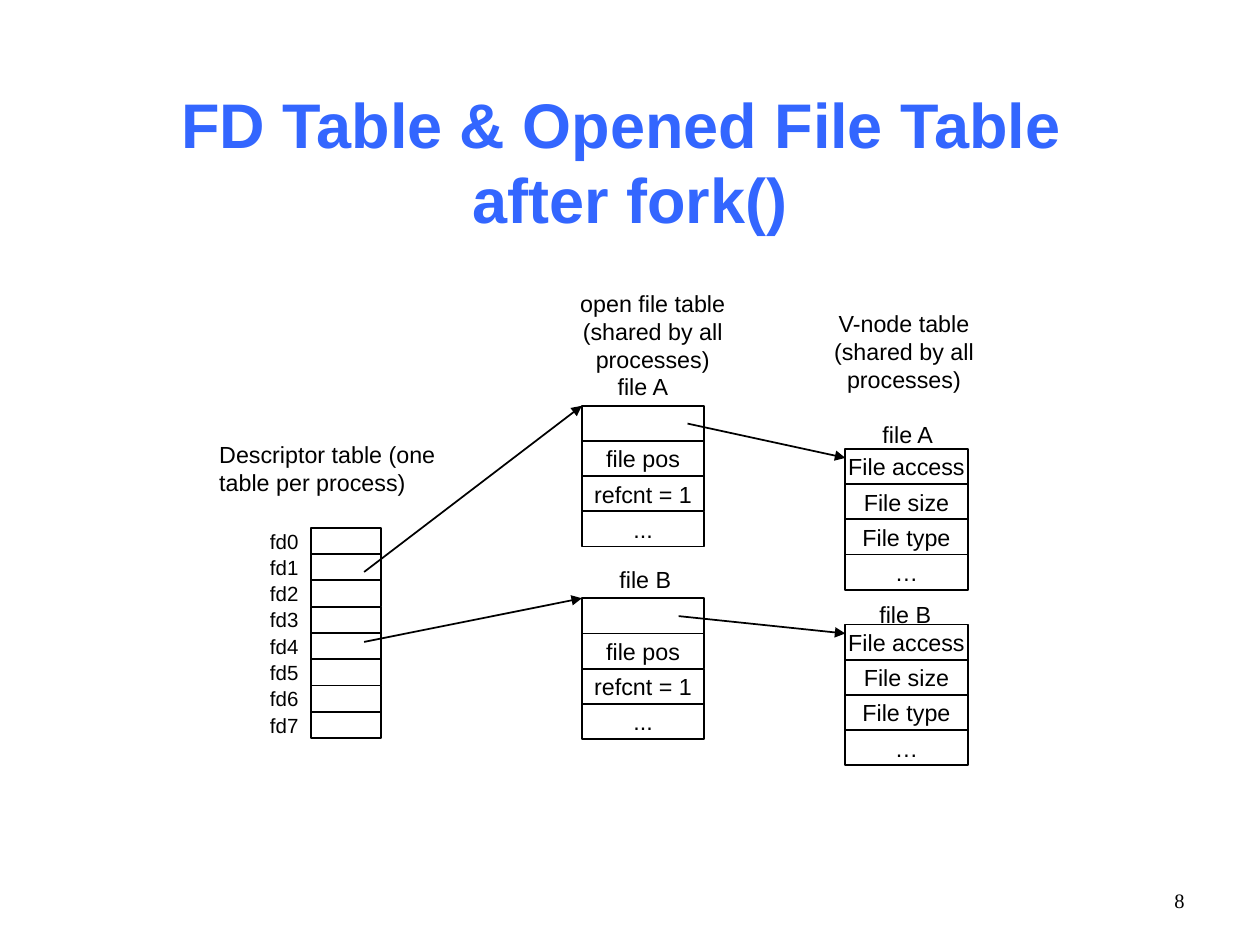
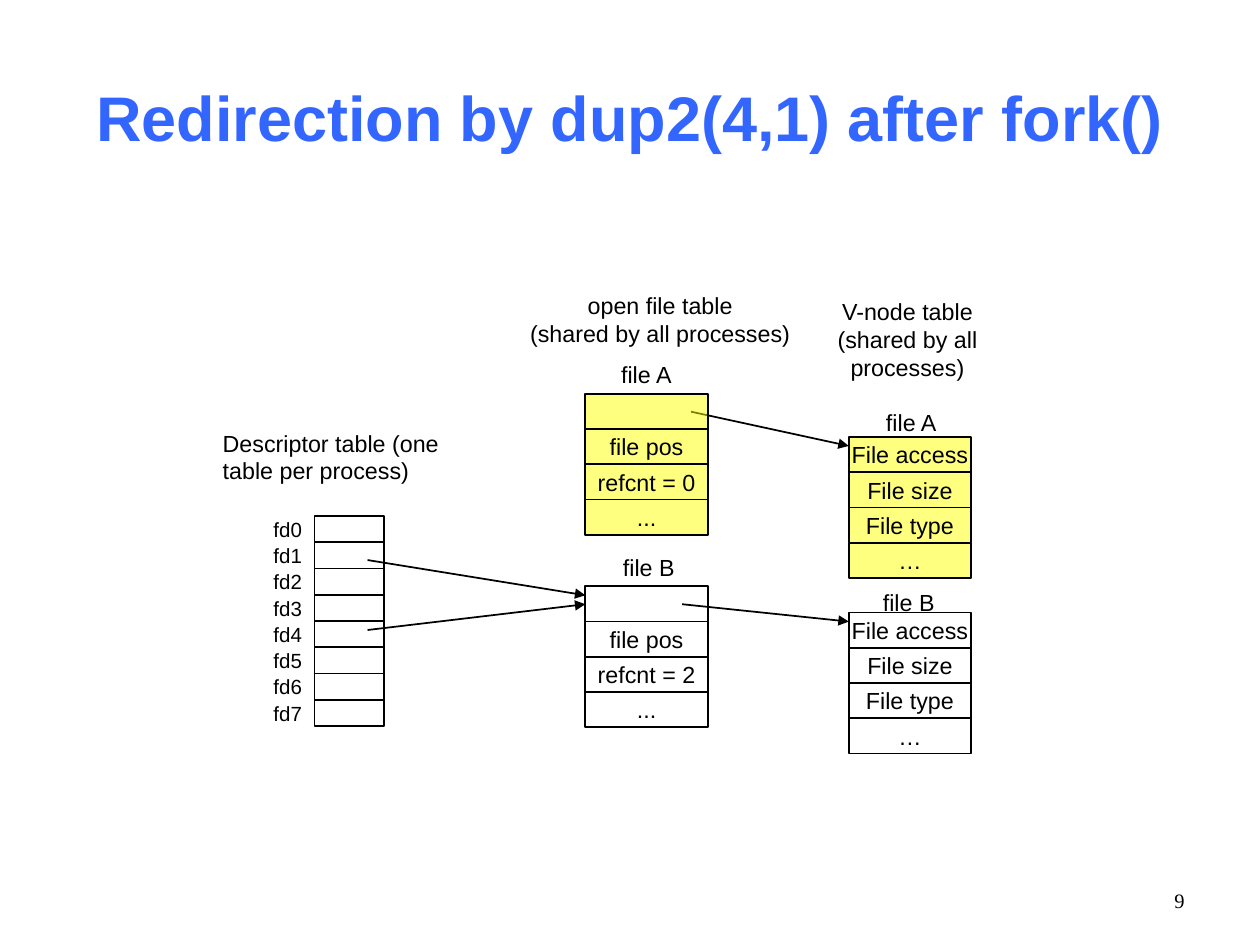
from lxml.etree import SubElement
from pptx import Presentation
from pptx.dml.color import RGBColor
from pptx.enum.shapes import MSO_CONNECTOR, MSO_SHAPE
from pptx.enum.text import MSO_ANCHOR, MSO_AUTO_SIZE, PP_ALIGN
from pptx.oxml.ns import qn
from pptx.util import Cm, Pt

BLACK = RGBColor(0x00, 0x00, 0x00)
WHITE = RGBColor(0xFF, 0xFF, 0xFF)
YELLOW = RGBColor(0xFF, 0xFF, 0x00)
TITLE_BLUE = RGBColor(0x33, 0x66, 0xFF)

# Shared geometry in cm
FD_LEFT, FD_TOP, FD_WIDTH, FD_HEIGHT, FD_COUNT = 6.27, 10.64, 1.41, 0.53, 8
FIELD_WIDTH, FIELD_HEIGHT = 2.47, 0.71
OPEN_LEFT, OPEN_A_TOP, OPEN_B_TOP = 11.73, 8.18, 12.06
VNODE_LEFT, VNODE_A_TOP, VNODE_B_TOP = 17.04, 9.05, 12.59
VNODE_FIELDS = ["File access", "File size", "File type", "…"]
FD1_START = (FD_LEFT + 1.07, FD_TOP + 0.89)
FD4_START = (FD_LEFT + 1.07, FD_TOP + 2.3)

# Each slide holds the same diagram, moved by "shift"; fills are open A, open B, v-node A, v-node B
SLIDES = [
    dict(title=["FD Table & Opened File Table ", "after fork()"], title_top=1.65, number="8",
         shift=(0, 0), heading=(10.31, 5.7), refcnts=(1, 1), fills=(None, None, None, WHITE),
         fd_arrows=[(FD1_START, (OPEN_LEFT, OPEN_A_TOP)), (FD4_START, (OPEN_LEFT, OPEN_B_TOP))]),
    dict(title=["Redirection by dup2(4,1) after fork()"], title_top=0.76, number="9",
         shift=(0.07, -0.24), heading=(10.24, 6), refcnts=(0, 2), fills=(YELLOW, None, YELLOW, None),
         fd_arrows=[(FD1_START, (OPEN_LEFT, OPEN_B_TOP + 0.18)),
                    (FD4_START, (OPEN_LEFT, OPEN_B_TOP + 0.36))]),
]


def add_label(slide, box, lines, size=13.3, font="Arial", align=PP_ALIGN.CENTER,
              anchor=MSO_ANCHOR.MIDDLE, wrap=False, grow=False):
    label = slide.shapes.add_textbox(*[Cm(length) for length in box])
    frame = label.text_frame
    frame.word_wrap = wrap
    frame.auto_size = MSO_AUTO_SIZE.SHAPE_TO_FIT_TEXT if grow else MSO_AUTO_SIZE.NONE
    frame.vertical_anchor = anchor
    for index, line in enumerate(lines):
        paragraph = frame.add_paragraph() if index else frame.paragraphs[0]
        paragraph.alignment = align
        run = paragraph.add_run()
        run.text = line
        run.font.name, run.font.size = font, Pt(size)
        run.font.color.rgb = BLACK


def add_cell(slide, box, text, fill=None):
    cell = slide.shapes.add_shape(MSO_SHAPE.RECTANGLE, *[Cm(length) for length in box])
    cell.shadow.inherit = False
    cell.line.color.rgb, cell.line.width = BLACK, Pt(1)
    if fill is None:
        cell.fill.background()
    else:
        cell.fill.solid()
        cell.fill.fore_color.rgb = fill
    if fill == YELLOW:
        color = cell.fill._xPr.find(qn("a:solidFill"))[0]
        SubElement(color, qn("a:alpha"), val="50000")
    if text:
        frame = cell.text_frame
        frame.word_wrap = False
        frame.vertical_anchor = MSO_ANCHOR.MIDDLE
        frame.paragraphs[0].alignment = PP_ALIGN.CENTER
        run = frame.paragraphs[0].add_run()
        run.text = text
        run.font.name, run.font.size = "Arial", Pt(13.3)
        run.font.color.rgb = BLACK


deck = Presentation()
deck.slide_width, deck.slide_height = Cm(25.4), Cm(19.05)

for content in SLIDES:
    slide = deck.slides.add_slide(deck.slide_layouts[5])
    dx, dy = content["shift"]

    # Title and slide number
    title = slide.shapes.title
    title.left, title.top = Cm(1.27), Cm(content["title_top"])
    title.width, title.height = Cm(22.86), Cm(3.18)
    title.text_frame.auto_size = MSO_AUTO_SIZE.NONE
    title.text_frame.vertical_anchor = MSO_ANCHOR.MIDDLE
    heading = title.text_frame.paragraphs[0]
    heading.alignment = PP_ALIGN.CENTER
    for index, line in enumerate(content["title"]):
        if index:
            heading.add_line_break()
        run = heading.add_run()
        run.text = line
        run.font.name, run.font.size, run.font.bold = "Arial", Pt(36), True
        run.font.color.rgb = TITLE_BLUE
    add_label(slide, (18.21, 17.65, 5.92, 1.02), [content["number"]], 11.7,
              "Times New Roman", PP_ALIGN.RIGHT, wrap=True)

    # Table headings
    heading_left, heading_width = content["heading"]
    add_label(slide, (heading_left + dx, 5.97 + dy, heading_width, 1.4),
              ["open file table", "(shared by all processes)"], wrap=True, grow=True)
    add_label(slide, (16.23 + dx, 6.1 + dy, 3.99, 1.96),
              ["V-node table", "(shared by all processes)"], wrap=True, grow=True)
    add_label(slide, (4.17 + dx, 8.76 + dy, 5.11, 1.4),
              ["Descriptor table (one table per process)"],
              align=PP_ALIGN.LEFT, anchor=MSO_ANCHOR.TOP, wrap=True, grow=True)

    # Arrows, beneath the cells
    arrows = content["fd_arrows"] + [
        ((OPEN_LEFT + 2.13, OPEN_A_TOP + 0.36), (VNODE_LEFT, VNODE_A_TOP + 0.18)),
        ((OPEN_LEFT + 1.95, OPEN_B_TOP + 0.36), (VNODE_LEFT, VNODE_B_TOP + 0.18)),
    ]
    for (start_x, start_y), (end_x, end_y) in arrows:
        arrow = slide.shapes.add_connector(
            MSO_CONNECTOR.STRAIGHT, Cm(start_x + dx), Cm(start_y + dy), Cm(end_x + dx), Cm(end_y + dy))
        arrow.line.color.rgb, arrow.line.width = BLACK, Pt(1)
        SubElement(arrow.line._get_or_add_ln(), qn("a:tailEnd"), type="triangle")
        SubElement(arrow._element.spPr, qn("a:effectLst"))

    # Descriptor table
    for fd in range(FD_COUNT):
        top = FD_TOP + fd * FD_HEIGHT + dy
        add_label(slide, (FD_LEFT - FD_WIDTH + dx, top, FD_WIDTH, FD_HEIGHT), [f"fd{fd}"],
                  11.7, align=PP_ALIGN.RIGHT)
        add_cell(slide, (FD_LEFT + dx, top, FD_WIDTH, FD_HEIGHT), "")

    # Open file and v-node records: name, name offset, place, fields
    open_fields = [["", "file pos", f"refcnt = {count}", "..."] for count in content["refcnts"]]
    records = [
        ("file A", 0.43, -0.81, OPEN_LEFT, OPEN_A_TOP, open_fields[0]),
        ("file B", 0.48, -0.81, OPEN_LEFT, OPEN_B_TOP, open_fields[1]),
        ("file A", 0.46, -0.72, VNODE_LEFT, VNODE_A_TOP, VNODE_FIELDS),
        ("file B", 0.41, -0.63, VNODE_LEFT, VNODE_B_TOP, VNODE_FIELDS),
    ]
    for (name, name_dx, name_dy, left, top, fields), fill in zip(records, content["fills"]):
        add_label(slide, (left + name_dx + dx, top + name_dy + dy, 1.6, 0.84), [name], grow=True)
        for row, field in enumerate(fields):
            add_cell(slide, (left + dx, top + row * FIELD_HEIGHT + dy, FIELD_WIDTH, FIELD_HEIGHT),
                     field, fill)

deck.save("out.pptx")
